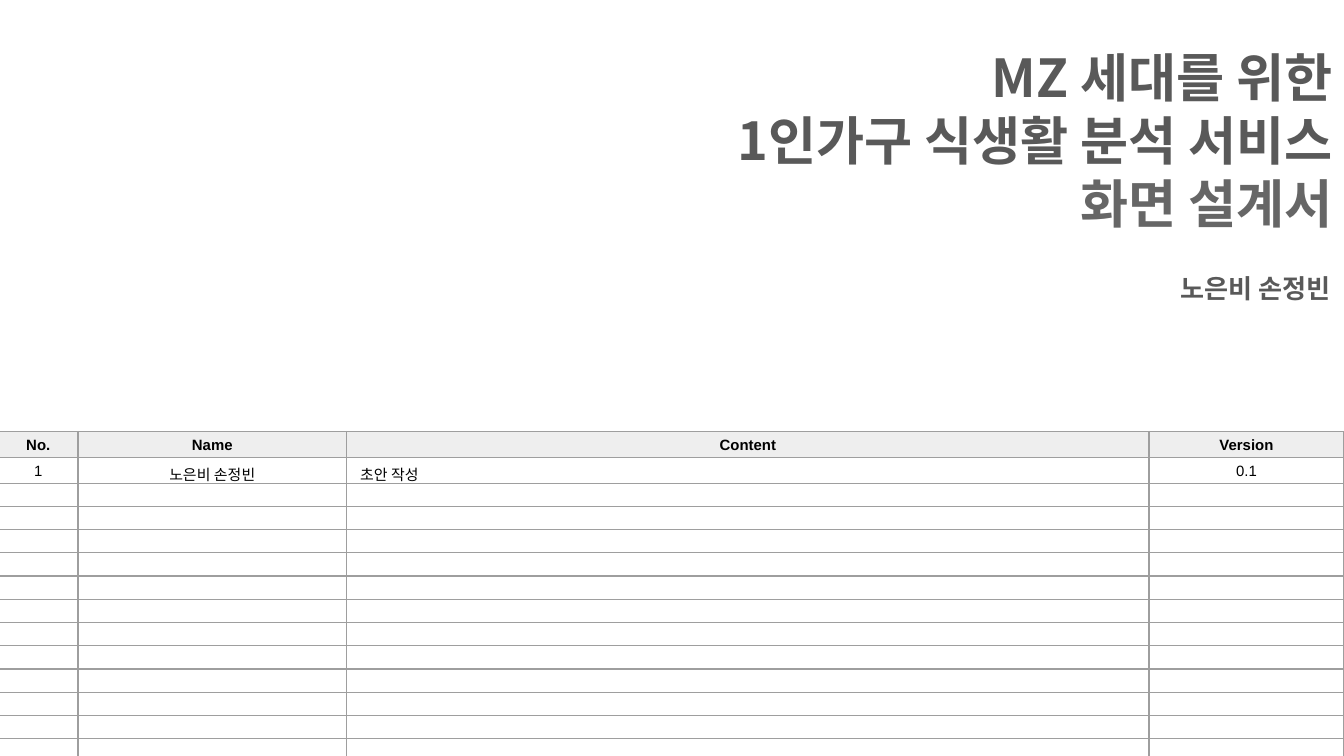
"""Build the cover slide of a screen design document with its revision table."""
import dataclasses

import pptx
import pptx.dml.color
import pptx.enum.shapes
import pptx.enum.text
import pptx.oxml
import pptx.oxml.ns
import pptx.util

Inches = pptx.util.Inches
Pt = pptx.util.Pt
ALIGN = pptx.enum.text.PP_ALIGN


@dataclasses.dataclass(frozen=True)
class Theme:
    dark: str = "595959"
    mid: str = "666666"
    black: str = "000000"
    grid: str = "9E9E9E"
    header: str = "EEEEEE"
    title_font: str = "Noto Sans CJK KR"
    table_font: str = "Arial"
    title_size: int = 28
    author_size: int = 14
    table_size: int = 8
    line_width: float = 0.75


THEME = Theme()
AUTHORS = "노은비 손정빈"
TITLE = [
    ("MZ 세대를 위한", THEME.dark),
    ("1인가구 식생활 분석 서비스", THEME.dark),
    ("화면 설계서", THEME.mid),
]
COLUMNS = [0.59, 2, 5.97, 1.45]
TABLE_TEXT = [
    ["No.", "Name", "Content", "Version"],
    ["1", AUTHORS, "초안 작성", "0.1"],
]
EMPTY_ROWS = 12
TEXT_ROW_HEIGHT = 0.19
EMPTY_ROW_HEIGHT = 2.07 / EMPTY_ROWS
TABLE_LEFT = -0.01
TABLE_TOP = 3.21


def rgb(value):
    return pptx.dml.color.RGBColor.from_string(value)


def sub(parent, tag, **attrs):
    child = parent.makeelement(pptx.oxml.ns.qn(tag), attrs)
    parent.append(child)
    return child


def write(p, text, *, font, size, color, bold=False, align=ALIGN.LEFT,
          spacing=1.0, east_asian=None):
    p.alignment = align
    p.line_spacing = spacing
    r = p.add_run()
    r.text = text
    r.font.name = font
    r.font.size = Pt(size)
    r.font.bold = bold
    r.font.color.rgb = rgb(color)
    if east_asian:
        sub(r.font._element, "a:ea", typeface=east_asian)


def add_text(s, box, lines, size):
    tf = s.shapes.add_textbox(*map(Inches, box)).text_frame
    tf.word_wrap = True
    tf.margin_left = tf.margin_right = Inches(0.1)
    tf.margin_top = tf.margin_bottom = Inches(0.1)
    for i, (text, color) in enumerate(lines):
        p = tf.add_paragraph() if i else tf.paragraphs[0]
        write(p, text, font=THEME.title_font, size=size, color=color,
              bold=True, align=ALIGN.RIGHT, east_asian=THEME.title_font)


def add_rule(s, y):
    line = s.shapes.add_connector(
        pptx.enum.shapes.MSO_CONNECTOR.STRAIGHT, 0, Inches(y), Inches(10), Inches(y))
    line.line.color.rgb = rgb(THEME.dark)
    line.line.width = Pt(THEME.line_width)
    sub(line._element.spPr, "a:effectLst")


def style_cell(cell, fill):
    cell.margin_left = cell.margin_right = Inches(0.1)
    cell.margin_top = cell.margin_bottom = Inches(0.02)
    tcPr = cell._tc.get_or_add_tcPr()
    for side in ("a:lnL", "a:lnR", "a:lnT", "a:lnB"):
        ln = sub(tcPr, side, w=str(Pt(THEME.line_width)))
        sub(sub(ln, "a:solidFill"), "a:srgbClr", val=THEME.grid)
    if fill:
        cell.fill.solid()
        cell.fill.fore_color.rgb = rgb(fill)
    else:
        cell.fill.background()


def add_revision_table(s):
    heights = [TEXT_ROW_HEIGHT] * len(TABLE_TEXT) + [EMPTY_ROW_HEIGHT] * EMPTY_ROWS
    table = s.shapes.add_table(
        len(heights), len(COLUMNS), Inches(TABLE_LEFT), Inches(TABLE_TOP),
        Inches(sum(COLUMNS)), Inches(sum(heights))).table
    table.horz_banding = False
    for column, width in zip(table.columns, COLUMNS):
        column.width = Inches(width)
    for i, height in enumerate(heights):
        table.rows[i].height = Inches(height)
        for j in range(len(COLUMNS)):
            cell = table.cell(i, j)
            style_cell(cell, THEME.header if i == 0 else None)
            p = cell.text_frame.paragraphs[0]
            if i < len(TABLE_TEXT):
                align = ALIGN.LEFT if (i, j) == (1, 2) else ALIGN.CENTER
                write(p, TABLE_TEXT[i][j], font=THEME.table_font, size=THEME.table_size,
                      color=THEME.black, bold=i == 0, align=align, spacing=1.15)
            else:
                end = sub(p._p, "a:endParaRPr", sz=str(THEME.table_size * 100))
                sub(end, "a:latin", typeface=THEME.table_font)


def main():
    prs = pptx.Presentation()
    prs.slide_width = Inches(10)
    prs.slide_height = Inches(10 * 9 / 16)
    s = prs.slides.add_slide(prs.slide_layouts[6])
    add_text(s, (0.69, 0.24, 9.32, 1.69), TITLE, THEME.title_size)
    add_text(s, (7.79, 1.93, 2.21, 0.44), [(AUTHORS, THEME.dark)], THEME.author_size)
    add_rule(s, TABLE_TOP)
    add_revision_table(s)
    prs.save("out.pptx")


if __name__ == "__main__":
    main()
